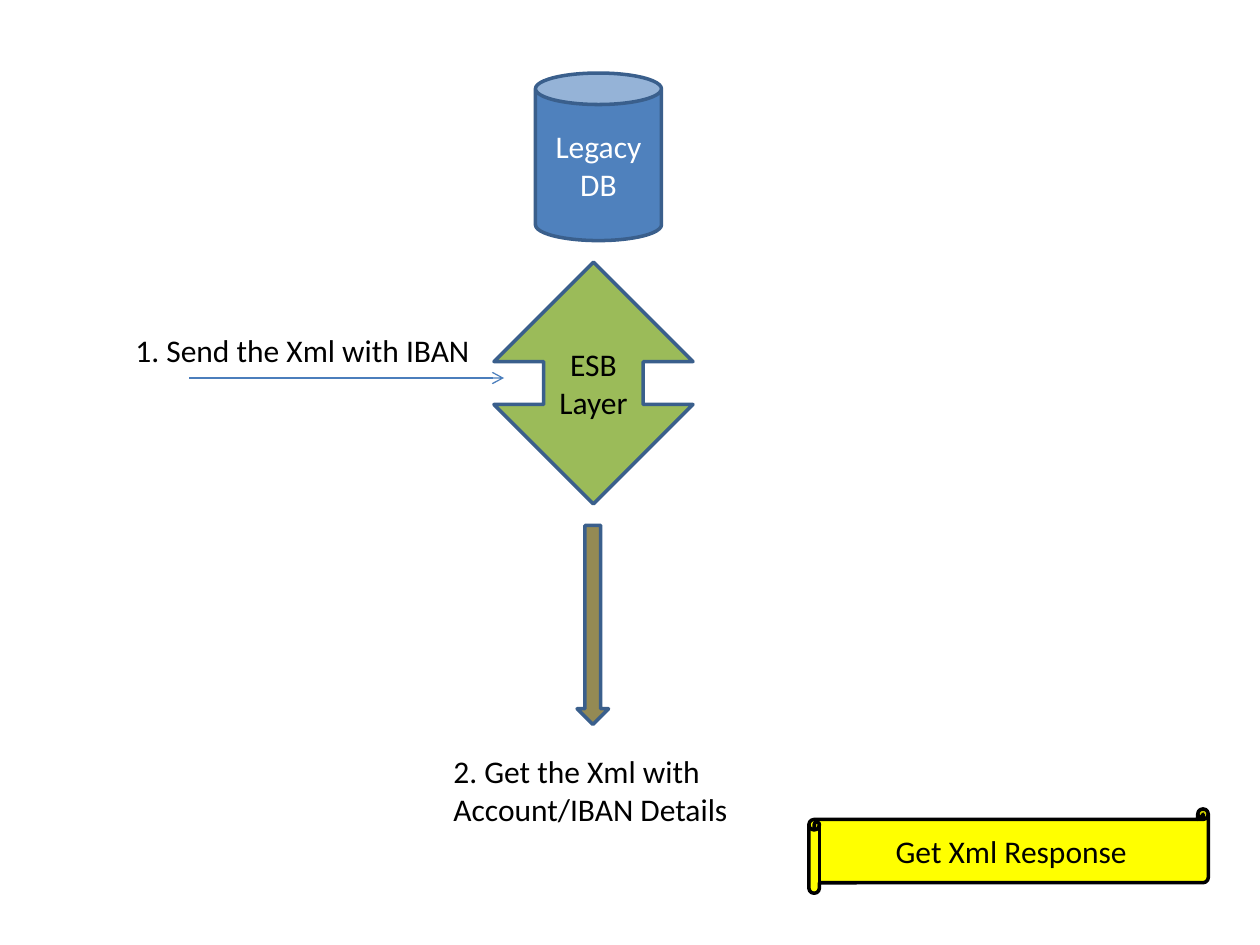
from dataclasses import dataclass

from lxml import etree
from pptx import Presentation, util as u
from pptx.dml.color import RGBColor
from pptx.enum import shapes, text
from pptx.oxml import ns


@dataclass
class Theme:
    font: str = "Calibri"
    size: int = 18
    outline_width: float = 2
    flow_width: float = 0.75
    black: str = "000000"
    white: str = "FFFFFF"
    blue: str = "4F81BD"
    outline: str = "3A5F8C"
    flow: str = "4B7EBC"
    green: str = "9BBB59"
    olive: str = "948A54"
    yellow: str = "FFFF00"


class Diagram:
    def __init__(self, slide, theme):
        self.slide = slide
        self.theme = theme

    def apply(self, target, values):
        for name, value in values.items():
            setattr(target, name, value)

    def add_words(self, shape, words, color, alignment, anchor):
        frame = shape.text_frame
        self.apply(frame, {"word_wrap": True, "vertical_anchor": anchor})
        paragraph = frame.paragraphs[0]
        paragraph.alignment = alignment
        run = paragraph.add_run()
        run.text = words
        self.apply(run.font, {"name": self.theme.font, "size": u.Pt(self.theme.size)})
        run.font.color.rgb = RGBColor.from_string(color)

    def stroke(self, line, color, width):
        line.color.rgb = RGBColor.from_string(color)
        line.width = u.Pt(width)

    def block(self, kind, box, fill, words="", color=None, outline=None):
        shape = self.slide.shapes.add_shape(kind, *map(u.Inches, box))
        shape.shadow.inherit = False
        shape.fill.solid()
        shape.fill.fore_color.rgb = RGBColor.from_string(fill)
        self.stroke(shape.line, outline or self.theme.outline, self.theme.outline_width)
        if words:
            self.add_words(shape, words, color or self.theme.black,
                           text.PP_ALIGN.CENTER, text.MSO_ANCHOR.MIDDLE)

    def label(self, box, words):
        shape = self.slide.shapes.add_textbox(*map(u.Inches, box))
        self.add_words(shape, words, self.theme.black,
                       text.PP_ALIGN.LEFT, text.MSO_ANCHOR.TOP)
        shape.text_frame.auto_size = text.MSO_AUTO_SIZE.SHAPE_TO_FIT_TEXT

    def arrow(self, start, end):
        connector = self.slide.shapes.add_connector(
            shapes.MSO_CONNECTOR.STRAIGHT, *map(u.Inches, start + end))
        self.stroke(connector.line, self.theme.flow, self.theme.flow_width)
        properties = connector.element.spPr
        etree.SubElement(properties.find(ns.qn("a:ln")), ns.qn("a:tailEnd"), type="arrow")
        etree.SubElement(properties, ns.qn("a:effectLst"))


presentation = Presentation()
presentation.slide_width = u.Inches(10)
presentation.slide_height = u.Inches(7.5)
theme = Theme()
diagram = Diagram(presentation.slides.add_slide(presentation.slide_layouts[6]), theme)
kinds = shapes.MSO_SHAPE

diagram.block(kinds.CAN, (4.25, 0.58, 1, 1.33), theme.blue, "Legacy DB", theme.white)
diagram.label((0.92, 2.58, 3, 0.4), " 1. Send the Xml with IBAN ")
diagram.label((3.5, 5.92, 2.92, 0.71), "2. Get the Xml with Account/IBAN Details")
diagram.block(kinds.UP_DOWN_ARROW, (3.92, 2.08, 1.58, 1.92), theme.green, "ESB Layer")
diagram.arrow((1.5, 3), (4, 3))
diagram.block(kinds.DOWN_ARROW, (4.58, 4.17, 0.25, 1.58), theme.olive)
diagram.block(kinds.HORIZONTAL_SCROLL, (6.42, 6.42, 3.17, 0.67), theme.yellow,
              "Get Xml Response", outline=theme.black)

presentation.save("out.pptx")
